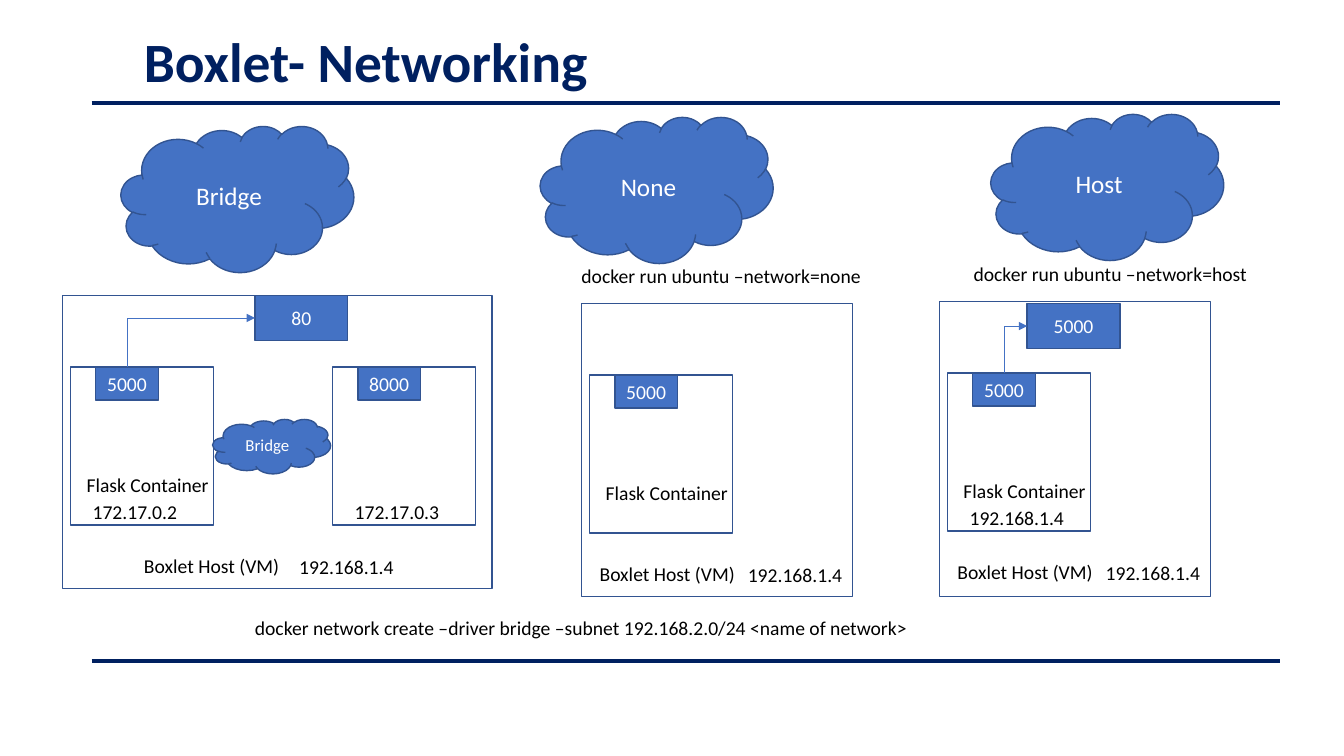
from lxml import etree
from pptx import Presentation
from pptx import util as u
from pptx.dml.color import RGBColor
from pptx.enum import shapes, text
from pptx.oxml.ns import qn

# Grid of square cells, ten to the inch; all places below are columns and rows
CELL = u.Inches(0.1)
COLS, ROWS = 133.33, 75
NAVY, BLUE, EDGE, WHITE, BLACK = "002060", "4472C4", "325491", "FFFFFF", "000000"
RECT, CLOUD = shapes.MSO_SHAPE.RECTANGLE, shapes.MSO_SHAPE.CLOUD


def grid(*cells):
    return [round(c * CELL) for c in cells]


def rgb(value):
    return RGBColor.from_string(value)


def write(tf, words, size=14, color=BLACK, bold=False, align=text.PP_ALIGN.LEFT,
          anchor=text.MSO_ANCHOR.TOP, wrap=True):
    tf.word_wrap = wrap
    tf.vertical_anchor = anchor
    p = tf.paragraphs[0]
    p.alignment = align
    r = p.add_run()
    r.text = words
    r.font.name = "Calibri"
    r.font.size = u.Pt(size)
    r.font.bold = bold
    r.font.color.rgb = rgb(color)


def label(s, words, x, y, w, h=3.4, wrap=False, **fmt):
    box = s.shapes.add_textbox(*grid(x, y, w, h))
    write(box.text_frame, words, wrap=wrap, **fmt)


def block(s, kind, x, y, w, h, words="", size=14, fill=BLUE):
    sp = s.shapes.add_shape(kind, *grid(x, y, w, h))
    sp.shadow.inherit = False
    if fill:
        sp.fill.solid()
        sp.fill.fore_color.rgb = rgb(fill)
    else:
        sp.fill.background()
    sp.line.color.rgb = rgb(EDGE)
    sp.line.width = u.Pt(1)
    if words:
        write(sp.text_frame, words, size=size, color=WHITE,
              align=text.PP_ALIGN.CENTER, anchor=text.MSO_ANCHOR.MIDDLE)
    return sp


def connector(s, kind, ends, color, width):
    c = s.shapes.add_connector(kind, *ends)
    c.line.color.rgb = rgb(color)
    c.line.width = u.Pt(width)
    etree.SubElement(c.element.spPr, qn("a:effectLst"))
    return c


def rule(s, y):
    connector(s, shapes.MSO_CONNECTOR.STRAIGHT, grid(9.1, y, 127, y), NAVY, 3)


def port_arrow(s, port, host_port):
    """One-bend arrow from the top of a port up to the left side of a host port."""
    x1, y1 = port.left + port.width // 2, port.top
    x2, y2 = host_port.left, host_port.top + host_port.height // 2
    c = connector(s, shapes.MSO_CONNECTOR.ELBOW, (x1, y1, x2, y2), BLUE, 0.5)
    c.begin_connect(port, 0)
    c.end_connect(host_port, 1)
    # The single bend is a turned frame: its width is the rise, its height the run
    run, rise = x2 - x1, y1 - y2
    c.left, c.top = (x1 + x2 - rise) // 2, (y1 + y2 - run) // 2
    c.width, c.height = rise, run
    spPr = c.element.spPr
    xfrm = spPr.find(qn("a:xfrm"))
    for key, value in (("rot", "5400000"), ("flipH", "1"), ("flipV", "1")):
        xfrm.set(key, value)
    spPr.find(qn("a:prstGeom")).set("prst", "bentConnector2")
    etree.SubElement(spPr.find(qn("a:ln")), qn("a:tailEnd"), type="triangle")


def container(s, x, y, port, name="", ip="", ip_width=10.5):
    block(s, RECT, x, y, 14.2, 15.7, fill=None)
    if name:
        label(s, name, x + 0.6, y + 10, 19.1, wrap=True)
    if ip:
        label(s, ip, x + 1.2, y + 12.7, ip_width)
    return block(s, RECT, x + 2.5, y, 6.2, 3.3, port)


def host(s, x, y, w, h, name_at, ip_at):
    block(s, RECT, x, y, w, h, fill=None)
    label(s, "Boxlet Host (VM)", x + name_at, y + 25.2, 16.1)
    label(s, "192.168.1.4", x + ip_at, y + 25.3, 11.5)


def main():
    prs = Presentation()
    prs.slide_width, prs.slide_height = grid(COLS, ROWS)
    s = prs.slides.add_slide(prs.slide_layouts[6])

    # Title and rules
    label(s, "Boxlet- Networking", 13.3, 2.5, 106.6, 7, wrap=True, size=39.6,
          color=NAVY, bold=True, anchor=text.MSO_ANCHOR.MIDDLE)
    for y in (10.2, 65.6):
        rule(s, y)

    # Network types
    for name, x, y in (("Bridge", 12, 12.5), ("None", 53.6, 11.6), ("Host", 98.3, 11.3)):
        block(s, CLOUD, x, y, 23.1, 14.5, name, size=18)

    # Commands
    label(s, "docker run ubuntu –network=none", 56.7, 25.7, 30)
    label(s, "docker run ubuntu –network=host", 95.6, 25.5, 29.4)
    label(s, "docker network create –driver bridge –subnet 192.168.2.0/24 <name of network>",
          24.3, 60.6, 89.2, wrap=True)

    # Bridge: two containers joined inside one host
    host(s, 6.2, 29.3, 42.6, 29.1, name_at=7.1, ip_at=22.5)
    flask = container(s, 7, 36.4, "5000", "Flask Container", "172.17.0.2")
    container(s, 33, 36.4, "8000", ip="172.17.0.3")
    block(s, CLOUD, 21.1, 41.6, 11.7, 5.4, "Bridge", size=12)
    port_arrow(s, flask, block(s, RECT, 25.3, 29.3, 9.2, 4.5, "80"))

    # None: isolated container
    host(s, 57.7, 30.1, 26.9, 29.1, name_at=0.8, ip_at=15.5)
    container(s, 58.5, 37.2, "5000", "Flask Container")

    # Host: container shares the host's address
    host(s, 93.2, 29.9, 26.9, 29.3, name_at=0.8, ip_at=15.5)
    flask = container(s, 94, 37, "5000", "Flask Container", "192.168.1.4", 11.5)
    port_arrow(s, flask, block(s, RECT, 101.9, 30.1, 9.2, 4.5, "5000"))

    prs.save("out.pptx")


if __name__ == "__main__":
    main()
